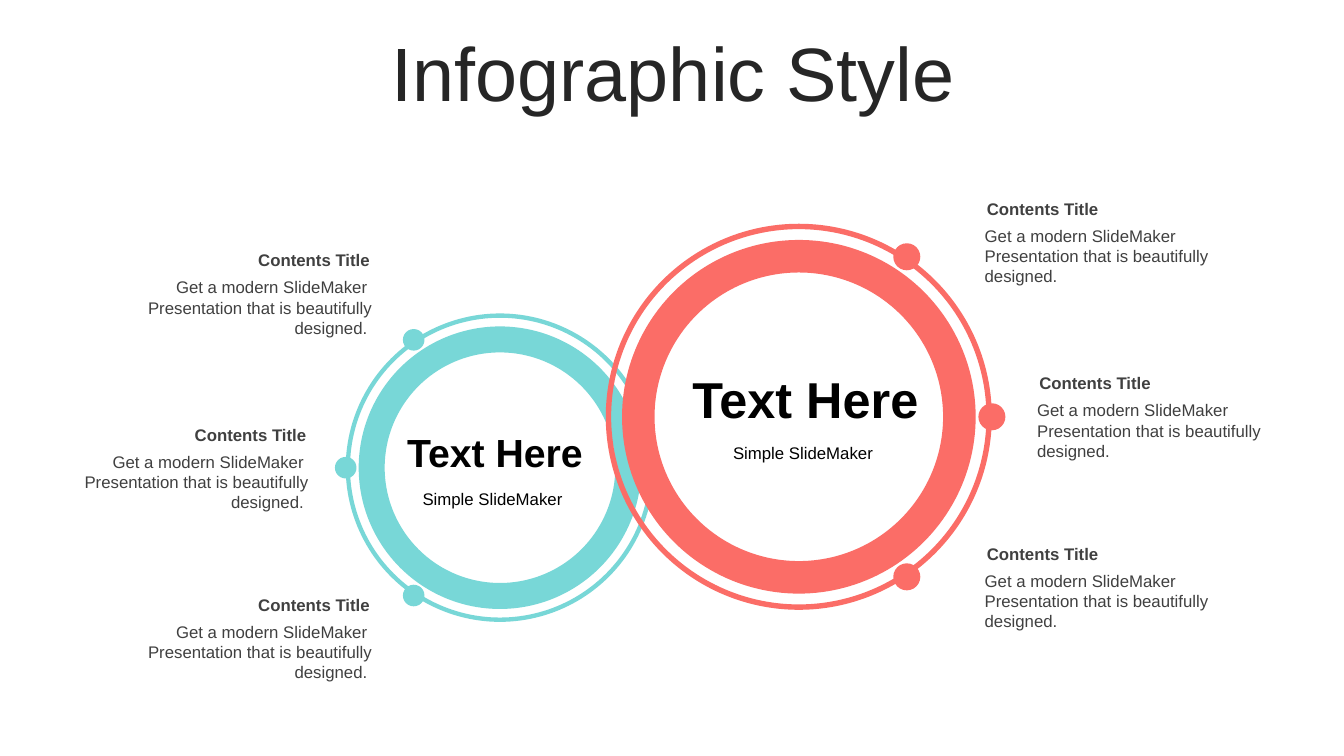
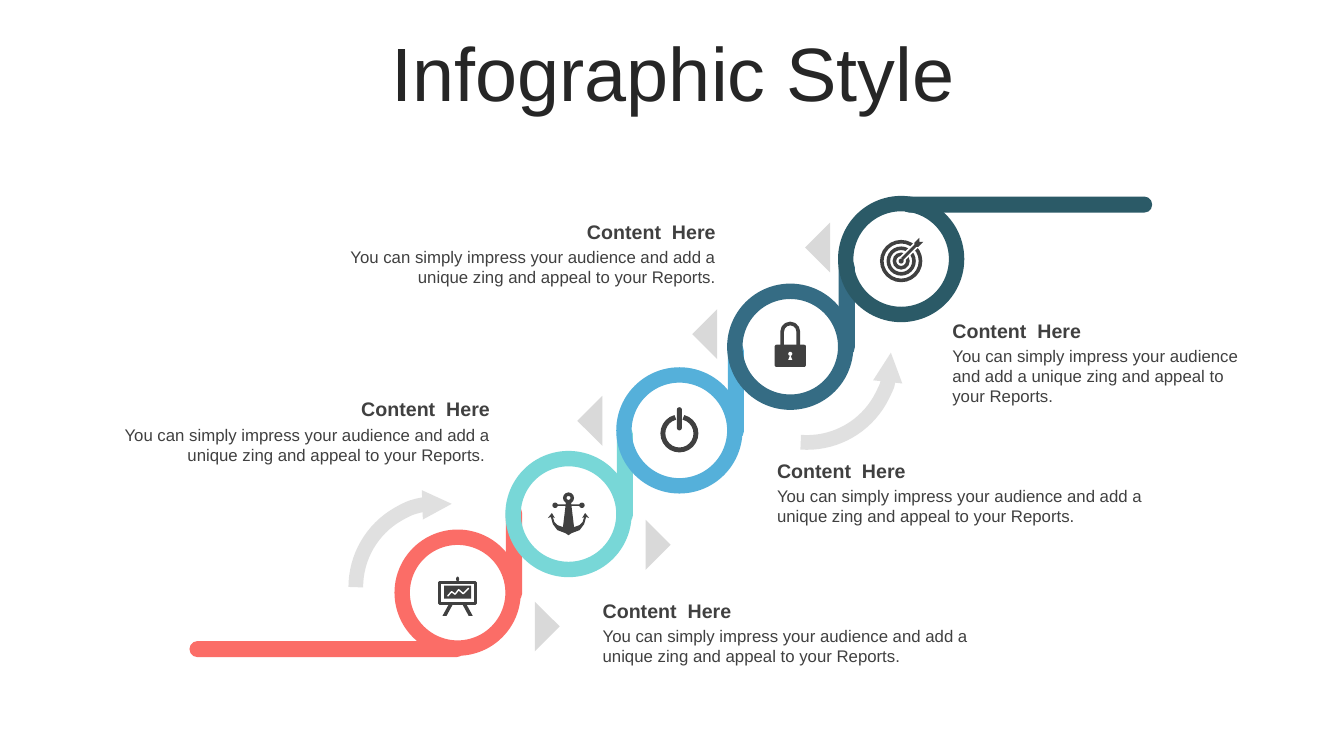
import math
import pptx
import pptx.util
import pptx.dml.color
import pptx.enum.shapes
import pptx.enum.text
import pptx.oxml
import pptx.oxml.ns

KIND = pptx.enum.shapes.MSO_SHAPE
ALIGN = pptx.enum.text.PP_ALIGN
ANCHOR = pptx.enum.text.MSO_ANCHOR

CELL = 91440
COLS, ROWS = 133.33, 75
FONT = "Arial"
WHITE, BLACK, INK, GREY = "FFFFFF", "000000", "404040", "D9D9D9"
CORAL, MINT, SKY, STEEL, PINE = "FB6D67", "78D7D7", "55B0DA", "356C84", "2B5A67"


def tint(code):
    return pptx.dml.color.RGBColor.from_string(code)


def cells(count):
    return pptx.util.Emu(round(count * CELL))


def node(name, **traits):
    item = pptx.oxml.parse_xml(
        f'<a:{name} xmlns:a="http://schemas.openxmlformats.org/drawingml/2006/main"/>')
    for key, value in traits.items():
        item.set(key, value)
    return item


class Deck:
    def __init__(self):
        self.file = pptx.Presentation()
        self.file.slide_width = cells(COLS)
        self.file.slide_height = cells(ROWS)
        self.move(0, 0)

    def move(self, x, y):
        self.x, self.y = x, y

    def spot(self, x, y):
        return cells(self.x + x), cells(self.y + y)

    def page(self, title):
        self.move(0, 0)
        self.slide = self.file.slides.add_slide(self.file.slide_layouts[6])
        self.text(title, 3.5, 3.7, 126.6, 7.9, size=54, color="262626",
                  align=ALIGN.CENTER, anchor=ANCHOR.MIDDLE, lead=0.9)

    def text(self, words, x, y, w, h, size=12, color=INK, bold=False,
             align=ALIGN.LEFT, anchor=ANCHOR.TOP, inset=1, lead=1):
        box = self.slide.shapes.add_textbox(*self.spot(x, y), cells(w), cells(h))
        frame = box.text_frame
        frame.word_wrap = True
        frame.vertical_anchor = anchor
        frame.margin_left = frame.margin_right = cells(inset)
        para = frame.paragraphs[0]
        para.alignment = align
        para.line_spacing = lead
        run = para.add_run()
        run.text = words
        run.font.name = FONT
        run.font.size = pptx.util.Pt(size)
        run.font.bold = bold
        run.font.color.rgb = tint(color)

    def paint(self, shape, fill, line, width):
        shape.shadow.inherit = False
        if fill:
            shape.fill.solid()
            shape.fill.fore_color.rgb = tint(fill)
        else:
            shape.fill.background()
        if line:
            shape.line.color.rgb = tint(line)
            shape.line.width = pptx.util.Pt(width)
        else:
            shape.line.fill.background()
        return shape

    def shape(self, kind, x, y, w, h, fill=None, line=None, width=1, turn=0, adj=()):
        item = self.slide.shapes.add_shape(kind, *self.spot(x, y), cells(w), cells(h))
        item.rotation = turn
        for rank, value in enumerate(adj):
            item.adjustments[rank] = value
        return self.paint(item, fill, line, width)

    def disc(self, x, y, r, kind=KIND.OVAL, **style):
        return self.shape(kind, x - r, y - r, 2 * r, 2 * r, **style)

    def bar(self, x, y, w, h, color):
        self.shape(KIND.ROUNDED_RECTANGLE, x, y, w, h, fill=color, adj=[0.5])

    def poly(self, points, fill=None, line=None, width=1):
        spots = [self.spot(*point) for point in points]
        trace = self.slide.shapes.build_freeform(*spots[0], scale=1.0)
        trace.add_line_segments(spots[1:], close=bool(fill))
        self.paint(trace.convert_to_shape(), fill, line, width)

    def stroke(self, start, end, color, width):
        link = self.slide.shapes.add_connector(
            pptx.enum.shapes.MSO_CONNECTOR.STRAIGHT, *self.spot(*start), *self.spot(*end))
        link.line.color.rgb = tint(color)
        link.line.width = pptx.util.Pt(width)
        link._element.spPr.append(node("effectLst"))

    def sweep(self, x, y, turn, end):
        arc = self.disc(x, y, 8.35, kind=KIND.ARC, line=GREY, width=10.5,
                        turn=turn, adj=[162, 4.81])
        line = arc._element.spPr.find(pptx.oxml.ns.qn("a:ln"))
        line.append(node(end, type="triangle", w="sm", len="sm"))
        line.find(".//" + pptx.oxml.ns.qn("a:srgbClr")).append(node("alpha", val="80000"))

    def note(self, head, body, x, y, w, align=ALIGN.LEFT, size=14, inset=1):
        self.text(head, x, y, w, 3.2, size=size, bold=True, align=align, inset=inset)
        self.text(body, x, y + 2.7, w, 5, align=align)

    def hub(self, x, y, r, color, side):
        self.disc(x, y, 0.916 * r, kind=KIND.DONUT, fill=color, adj=[0.092])
        self.disc(x, y, r, kind=KIND.DONUT, fill=color, adj=[0.014])
        for angle in (-56, 0, 56):
            turn = math.radians(angle)
            self.disc(x + side * r * math.cos(turn), y + r * math.sin(turn),
                      0.07 * r, fill=color)

    def label(self, x, y, w, h, size):
        style = dict(color=BLACK, align=ALIGN.CENTER, anchor=ANCHOR.MIDDLE)
        self.text("Text Here", x, y, w, h, size=size, bold=True, **style)
        self.text("Simple SlideMaker ", x, y + h + 0.3, w, 3, **style)


def mirror(points):
    return [(-x, y) for x, y in points]


def board(deck):
    deck.shape(KIND.RECTANGLE, -1.8, -1.05, 3.6, 2.1, line=INK, width=2.2)
    deck.shape(KIND.RECTANGLE, -1.35, -0.7, 2.7, 1.3, fill=INK)
    deck.shape(KIND.OVAL, -0.15, -1.6, 0.3, 0.5, fill=INK)
    leg = [(-0.9, 1.2), (-0.5, 1.2), (-1.1, 2.3), (-1.5, 2.3)]
    deck.poly(leg, fill=INK)
    deck.poly(mirror(leg), fill=INK)
    deck.poly([(-1, 0.35), (-0.6, -0.1), (-0.25, 0.15), (0.1, -0.3),
               (0.55, 0.1), (1.1, -0.45)], line=WHITE)


def anchor(deck):
    deck.disc(0, -1.6, 0.55, kind=KIND.DONUT, fill=INK, adj=[0.32])
    deck.shape(KIND.RECTANGLE, -1.3, -0.95, 2.6, 0.15, fill=INK)
    for x in (-1.33, 1.33):
        deck.disc(x, -0.87, 0.27, fill=INK)
    half = [(0.25, -1.2), (0.55, 1.3), (1.1, 1.1), (1.4, 0.8), (1.55, 0.3),
            (1.35, 0.4), (1.65, -0.1), (2.05, 0.4), (1.75, 0.3), (1.55, 1),
            (1.1, 1.6), (0.3, 1.9), (0, 2.1)]
    deck.poly(half + mirror(half[-2::-1]), fill=INK)


def power(deck):
    deck.disc(0, 0.3, 1.64, kind=KIND.ARC, line=INK, width=3.5, adj=[170.4, 153.6])
    deck.bar(-0.25, -2.3, 0.5, 2.3, INK)


def lock(deck):
    deck.shape(KIND.ROUNDED_RECTANGLE, -0.8, -2.3, 1.6, 3, line=INK, width=2.6, adj=[0.5])
    deck.shape(KIND.ROUNDED_RECTANGLE, -1.55, -0.2, 3.1, 2.2, fill=INK, adj=[0.08])
    deck.disc(0, 0.7, 0.2, fill=WHITE)
    deck.shape(KIND.ISOSCELES_TRIANGLE, -0.2, 0.8, 0.4, 0.5, fill=WHITE)


def target(deck):
    for r in (2.1, 1.45, 0.85):
        deck.disc(0, 0.2, r, kind=KIND.DONUT, fill=INK, adj=[0.18 / r])
    deck.stroke((0.1, 0), (1.7, -1.6), WHITE, 4.5)
    deck.disc(0, 0.2, 0.25, fill=INK)
    deck.poly([(1.8, -2.1), (1.8, -1.7), (2.2, -1.7), (1.7, -1.2), (1.5, -1.2),
               (0.2, 0.1), (0, -0.1), (1.3, -1.4), (1.3, -1.6)], fill=INK)


def hubs(deck):
    deck.page("Infographic Style")
    deck.hub(49.6, 46.4, 15.3, MINT, -1)
    deck.hub(79.25, 41.35, 19.15, CORAL, 1)
    deck.label(67, 36, 25.8, 7.1, 36)
    deck.label(38.8, 42, 20.6, 5.7, 28)
    body = "Get a modern SlideMaker  Presentation that is beautifully designed."
    sides = [(24.3, (12.5, 6.2, 12.5), ALIGN.RIGHT, body + " "),
             (19.2, (96.7, 101.9, 96.7), ALIGN.LEFT, body)]
    for top, lefts, align, words in sides:
        for x, drop in zip(lefts, (0, 17.3, 34.2)):
            deck.note("Contents Title", words, x, top + drop, 25.4,
                      align=align, size=12, inset=1.2)


def stairs(deck):
    deck.page("Infographic Style")
    steps = [(58.8, CORAL, board), (51, MINT, anchor), (42.7, SKY, power),
             (34.4, STEEL, lock), (25.7, PINE, target)]
    first, pitch, r = 45.4, 11, 5.5
    last = len(steps) - 1
    for rank, (y, color, icon) in enumerate(steps):
        x = first + rank * pitch
        deck.disc(x, y, r, line=color, width=11)
        if rank < last:
            deck.bar(x + r - 0.7, y - 8.7, 1.6, 9.6, color)
    deck.bar(89.4, 19.5, 24.9, 1.6, PINE)
    deck.bar(18.8, 63.6, 27.3, 1.6, CORAL)
    deck.sweep(80.05, 35.55, 86.2, "headEnd")
    deck.sweep(43.65, 58.25, 270, "tailEnd")
    for x, y, turn in [(82.35, 24.55, 45), (71.15, 33.15, 45), (59.75, 41.75, 45),
                       (64.05, 54.05, 225), (53.05, 62.15, 225)]:
        deck.disc(x, y, 1.75, kind=KIND.RIGHT_TRIANGLE, fill=GREY, turn=turn)
    body = "You can simply impress your audience and add a unique zing and appeal to your Reports."
    for x, y, w, align, tail in [(32.4, 21.3, 39.6, ALIGN.RIGHT, ""),
                                 (76.1, 45, 40.2, ALIGN.LEFT, ""),
                                 (10, 38.9, 39.6, ALIGN.RIGHT, " "),
                                 (93.5, 31.1, 31.6, ALIGN.LEFT, ""),
                                 (58.8, 58.9, 40.2, ALIGN.LEFT, "")]:
        deck.note("Content  Here", body + tail, x, y, w, align=align)
    for rank, (y, color, icon) in enumerate(steps):
        deck.move(first + rank * pitch, y)
        icon(deck)


def main():
    deck = Deck()
    hubs(deck)
    stairs(deck)
    deck.file.save("out.pptx")


if __name__ == "__main__":
    main()
